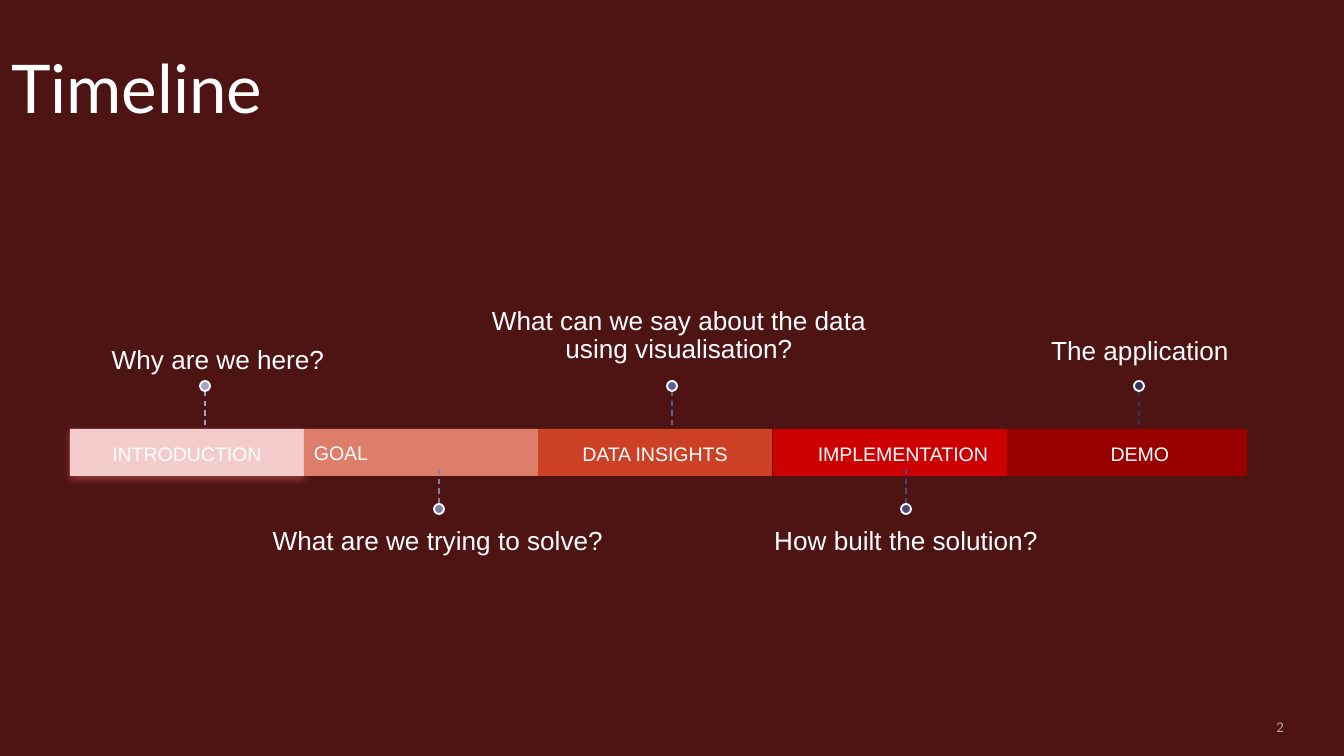
import pptx
import pptx.dml.color
import pptx.enum.dml
import pptx.enum.shapes
import pptx.enum.text
import pptx.oxml
import pptx.oxml.ns
import pptx.util

ALIGN = pptx.enum.text.PP_ALIGN
ANCHOR = pptx.enum.text.MSO_ANCHOR
SHAPE = pptx.enum.shapes.MSO_SHAPE

COLORS = {
    "background": "4E1313",
    "text": "FFFFFF",
    "number": "A5A5A5",
    "glow": "E06666",
}
TITLE = "Timeline"
SLIDE_NUMBER = "2"

# Stage, question, question left and top, bar colour, marker colour, stage indent
STAGES = [
    ("INTRODUCTION", "Why are we here?", 23, 237, "F4CCCC", "A3A3C1", 0),
    ("GOAL", "What are we trying to solve?", 243, 513, "DD7E6B", "8080AC", 0),
    ("DATA INSIGHTS", "What can we say about the data using visualisation?",
     484, 226, "CC4125", "605E99", 0),
    ("IMPLEMENTATION", "How built the solution?", 711, 513, "CC0000", "4B477A", 26),
    ("DEMO", "The application", 945, 228, "990000", "36325A", 26),
]

PX = 914400 / 134.4
BAR_LEFT, BAR_TOP, BAR_HEIGHT, BAR_STEP = 70, 429, 47, 234.2
BAR_WIDTH, LAST_BAR_WIDTH = 234, 240
MARKER_LEFT, MARKER_STEP, DOT = 205, 233.6, 10
QUESTION_SIZE = (390, 153)

STAGE_FONT = {"size": pptx.util.Pt(10.5), "name": "Arial"}
QUESTION_FONT = {"size": pptx.util.Pt(14), "name": "Arial"}
TITLE_FONT = {"size": pptx.util.Pt(36), "name": "Lato"}
NUMBER_FONT = {"size": pptx.util.Pt(8), "name": "Calibri"}


def px(*lengths):
    return [round(length * PX) for length in lengths]


def rgb(value):
    return pptx.dml.color.RGBColor.from_string(value)


def set_all(target, values):
    for name, value in values.items():
        setattr(target, name, value)


def write(shape, text, font, color=COLORS["text"], align=ALIGN.LEFT,
          anchor=ANCHOR.TOP, margins=(0, 0, 0, 0), spacing=1.0, indent=0):
    """Fill a shape with one paragraph; margins are left, top, right, bottom."""
    frame = shape.text_frame
    sides = ("margin_left", "margin_top", "margin_right", "margin_bottom")
    set_all(frame, dict(zip(sides, px(*margins))))
    set_all(frame, {"word_wrap": True, "vertical_anchor": anchor,
                    "auto_size": pptx.enum.text.MSO_AUTO_SIZE.NONE})
    frame.text = text
    paragraph = frame.paragraphs[0]
    set_all(paragraph, {"alignment": align, "line_spacing": spacing,
                        "space_before": pptx.util.Pt(0)})
    if indent:
        properties = paragraph._p.get_or_add_pPr()
        properties.set("marL", str(px(indent)[0]))
        properties.set("indent", "0")
    set_all(paragraph.font, font)
    paragraph.font.color.rgb = rgb(color)


def add_filled(shapes, kind, box, fill):
    shape = shapes.add_shape(kind, *px(*box))
    shape.shadow.inherit = False
    shape.fill.solid()
    shape.fill.fore_color.rgb = rgb(fill)
    shape.line.fill.background()
    return shape


def add_glow(shape):
    """Give a shape a soft, half transparent shadow straight below it."""
    effects = shape._element.spPr.find(pptx.oxml.ns.qn("a:effectLst"))
    effects.append(pptx.oxml.parse_xml(
        f'<a:outerShdw {pptx.oxml.ns.nsdecls("a")} blurRad="57150" dist="19050" '
        f'dir="5400000" algn="bl" rotWithShape="0"><a:srgbClr val="{COLORS["glow"]}">'
        '<a:alpha val="50000"/></a:srgbClr></a:outerShdw>'))


def add_marker(shapes, center, above, color):
    """Draw a dashed stem with a dot at its outer end."""
    line_top, line_bottom, dot_top = (391, 426, 381) if above else (469, 504, 504)
    stem = shapes.add_connector(pptx.enum.shapes.MSO_CONNECTOR.STRAIGHT,
                                *px(center, line_top, center, line_bottom))
    stem.line.color.rgb = rgb(color)
    set_all(stem.line, {"width": pptx.util.Pt(0.75),
                        "dash_style": pptx.enum.dml.MSO_LINE.DASH})
    stem._element.spPr.append(pptx.oxml.parse_xml(
        f'<a:effectLst {pptx.oxml.ns.nsdecls("a")}/>'))
    dot = add_filled(shapes, SHAPE.OVAL, (center - DOT / 2, dot_top, DOT, DOT), color)
    dot.line.color.rgb = rgb(COLORS["text"])
    dot.line.width = pptx.util.Pt(1)


def add_stage(shapes, index, stage):
    name, question, left, top, bar_color, marker_color, indent = stage
    above = index % 2 == 0
    width = LAST_BAR_WIDTH if index == len(STAGES) - 1 else BAR_WIDTH
    bar_left = round(BAR_LEFT + index * BAR_STEP)
    bar = add_filled(shapes, SHAPE.RECTANGLE,
                     (bar_left, BAR_TOP, width, BAR_HEIGHT), bar_color)
    if index == 0:
        add_glow(bar)
    plain = name == "GOAL"
    write(bar, name, STAGE_FONT, anchor=ANCHOR.MIDDLE, indent=indent,
          align=ALIGN.LEFT if plain else ALIGN.CENTER,
          margins=[10 if plain else 15] * 4, spacing=1.0 if plain else 1.1)

    label = shapes.add_textbox(*px(left, top, *QUESTION_SIZE))
    write(label, question, QUESTION_FONT, align=ALIGN.CENTER, spacing=0.9,
          anchor=ANCHOR.BOTTOM if above else ANCHOR.TOP,
          margins=(0, 0, 0, 15) if above else (0, 15, 0, 0))
    add_marker(shapes, round(MARKER_LEFT + index * MARKER_STEP), above, marker_color)


def main():
    presentation = pptx.Presentation()
    presentation.slide_width, presentation.slide_height = px(1344, 756)
    slide = presentation.slides.add_slide(presentation.slide_layouts[5])
    slide.background.fill.solid()
    slide.background.fill.fore_color.rgb = rgb(COLORS["background"])

    title = slide.shapes.title
    set_all(title, dict(zip(("left", "top", "width", "height"), px(11, 55, 1223, 147))))
    write(title, TITLE, TITLE_FONT, spacing=0.9)

    number = slide.shapes.add_textbox(*px(1097, 718, 187, 17))
    write(number, SLIDE_NUMBER, NUMBER_FONT, COLORS["number"], ALIGN.RIGHT, ANCHOR.MIDDLE)

    for index, stage in enumerate(STAGES):
        add_stage(slide.shapes, index, stage)
    presentation.save("out.pptx")


if __name__ == "__main__":
    main()
